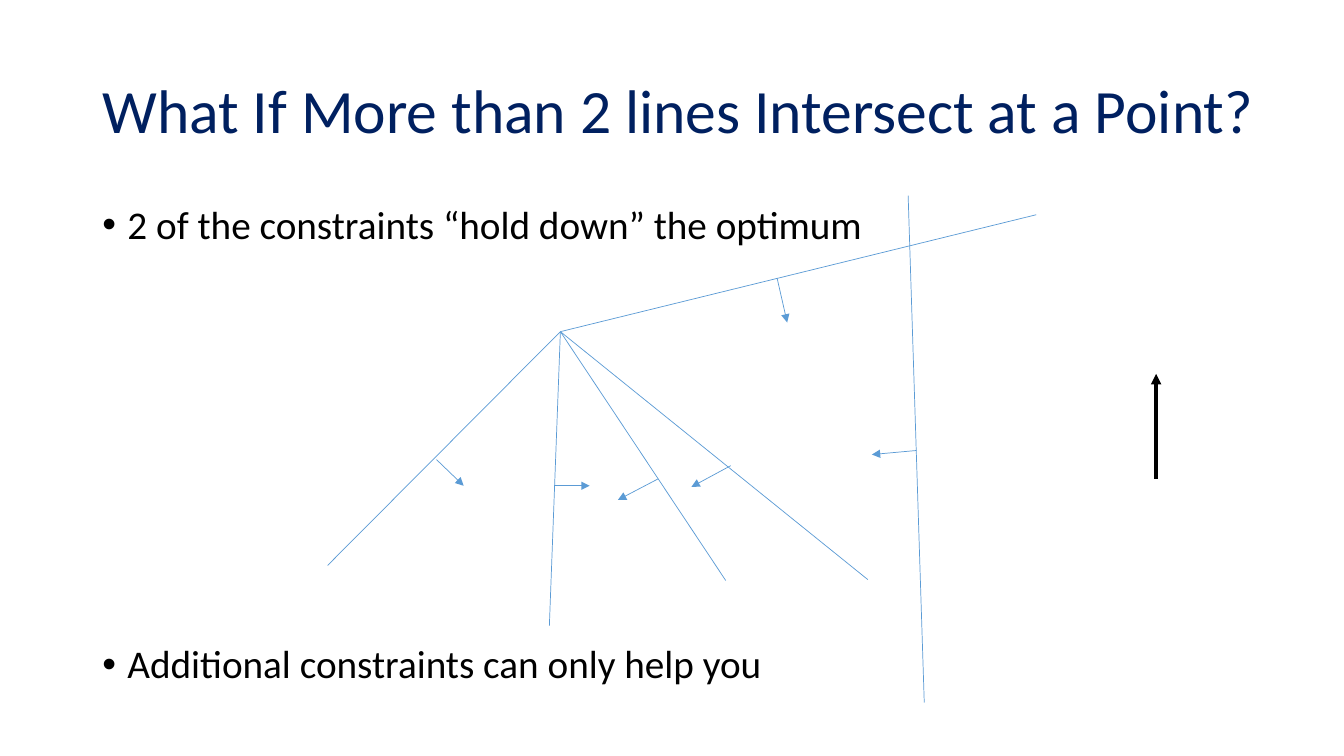
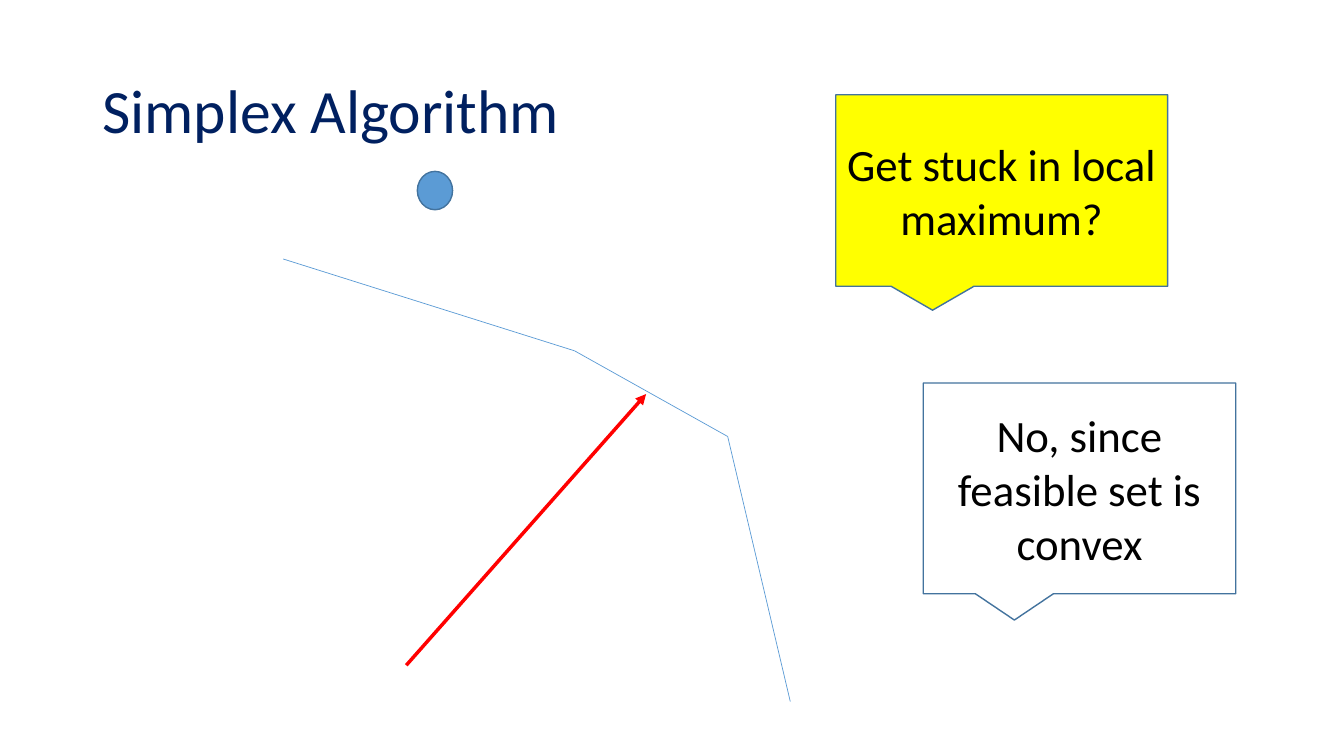
from lxml import etree
from pptx import Presentation
from pptx.dml.color import RGBColor
from pptx.enum.shapes import MSO_CONNECTOR, MSO_SHAPE
from pptx.enum.text import MSO_ANCHOR, PP_ALIGN
from pptx.oxml.ns import qn
from pptx.util import Pt

STRAIGHT = MSO_CONNECTOR.STRAIGHT
OVAL, CALLOUT = MSO_SHAPE.OVAL, MSO_SHAPE.RECTANGULAR_CALLOUT
TOP, MIDDLE = MSO_ANCHOR.TOP, MSO_ANCHOR.MIDDLE
LEFT, CENTER = PP_ALIGN.LEFT, PP_ALIGN.CENTER

FONT = "Calibri"
COLORS = {
    "title": "002060",
    "text": "000000",
    "constraint": "5B9BD5",
    "outline": "43739E",
    "objective": "000000",
    "direction": "FF0000",
    "question": "FFFF00",
    "answer": "FFFFFF",
}
SLIDE_SIZE = (960, 540)
TITLE_BOX = (66, 28.8, 855, 104.4)
BULLET_INDENT = 18


def color(name):
    return RGBColor.from_string(COLORS[name])


def write(shape, text, *, size, fill="text", anchor=TOP, align=LEFT,
          spacing=1.0, before=0, bullet=False):
    frame = shape.text_frame
    frame.word_wrap = True
    frame.vertical_anchor = anchor
    paragraph = frame.paragraphs[0]
    paragraph.alignment = align
    paragraph.line_spacing = spacing
    paragraph.space_before = Pt(before)
    run = paragraph.add_run()
    run.text = text
    run.font.name = FONT
    run.font.size = Pt(size)
    run.font.color.rgb = color(fill)
    if bullet:
        properties = paragraph._p.get_or_add_pPr()
        properties.set("marL", str(Pt(BULLET_INDENT)))
        properties.set("indent", str(-Pt(BULLET_INDENT)))
        etree.SubElement(properties, qn("a:buFont"), typeface="Arial")
        etree.SubElement(properties, qn("a:buChar"), char="•")


def add_text(slide, box, text, **text_format):
    write(slide.shapes.add_textbox(*map(Pt, box)), text, **text_format)


def add_title(slide, text):
    add_text(slide, TITLE_BOX, text, size=44, fill="title", anchor=MIDDLE, spacing=0.9)


def add_bullet(slide, box, text):
    add_text(slide, box, text, size=28, spacing=0.9, before=10, bullet=True)


def add_line(slide, origin, start, end, stroke="constraint", width=0.5, arrow=False):
    """Draw a line between two points measured from origin."""
    ends = [Pt(base + offset) for point in (start, end)
            for base, offset in zip(origin, point)]
    line = slide.shapes.add_connector(STRAIGHT, *ends)
    line.line.color.rgb = color(stroke)
    line.line.width = Pt(width)
    if arrow:
        etree.SubElement(line.line._get_or_add_ln(), qn("a:tailEnd"), type="triangle")
    etree.SubElement(line._element.spPr, qn("a:effectLst"))


def add_outlined_shape(slide, kind, box, fill):
    shape = slide.shapes.add_shape(kind, *map(Pt, box))
    shape.shadow.inherit = False
    shape.fill.solid()
    shape.fill.fore_color.rgb = color(fill)
    shape.line.color.rgb = color("outline")
    shape.line.width = Pt(1)
    return shape


def add_callout(slide, box, text, fill):
    callout = add_outlined_shape(slide, CALLOUT, box, fill)
    write(callout, text, size=32, anchor=MIDDLE, align=CENTER)


def draw_constraints(slide, origin):
    """Draw constraints through one optimum, with arrows to their feasible sides."""
    optimum = (166.3, 97.2)
    for end in [(0, 264.2), (158.4, 307.4), (284.4, 275), (385.9, 274.3), (506.2, 13.7)]:
        add_line(slide, origin, optimum, end)
    add_line(slide, origin, (426.2, 362.1), (414.7, 0))

    feasible_sides = [
        ((77.8, 188.6), (97.2, 207.3)),
        ((162, 207.3), (187.2, 207.3)),
        ((236.2, 202.3), (207.4, 217.4)),
        ((288, 192.9), (259.9, 208.1)),
        ((321.1, 59), (328.3, 90.7)),
        ((420.5, 182.1), (388.8, 185)),
    ]
    for start, end in feasible_sides:
        add_line(slide, origin, start, end, arrow=True)
    add_line(slide, origin, (591.8, 202.3), (591.8, 127.4),
             stroke="objective", width=2.5, arrow=True)


def draw_feasible_boundary(slide, origin):
    vertices = [(0, 62.6), (208.1, 128.2), (317.5, 189.4), (362.2, 378.7)]
    for start, end in zip(vertices, vertices[1:]):
        add_line(slide, origin, start, end)
    add_line(slide, origin, (87.9, 352.8), (259.2, 159.1),
             stroke="direction", width=2.5, arrow=True)
    left, top = origin
    add_outlined_shape(slide, OVAL, (left + 95.8, top, 25.2, 27.4), "constraint")


def build_intersection_slide(slide):
    add_title(slide, "What If More than 2 lines Intersect at a Point?")
    add_bullet(slide, (66, 143.3, 828, 54.7), "2 of the constraints “hold down” the optimum")
    draw_constraints(slide, (234, 139.7))
    add_bullet(slide, (66, 457.2, 828, 54.7), "Additional constraints can only help you")


def build_simplex_slide(slide):
    add_title(slide, "Simplex Algorithm")
    draw_feasible_boundary(slide, (202.3, 122.4))
    add_callout(slide, (597, 67.7, 237, 136.8), "Get stuck in local maximum?", "question")
    add_callout(slide, (659.5, 273.6, 223.2, 150.5),
                "No, since feasible set is convex", "answer")


def main():
    deck = Presentation()
    deck.slide_width, deck.slide_height = map(Pt, SLIDE_SIZE)
    blank = deck.slide_layouts[6]
    for build in (build_intersection_slide, build_simplex_slide):
        build(deck.slides.add_slide(blank))
    deck.save("out.pptx")


if __name__ == "__main__":
    main()
